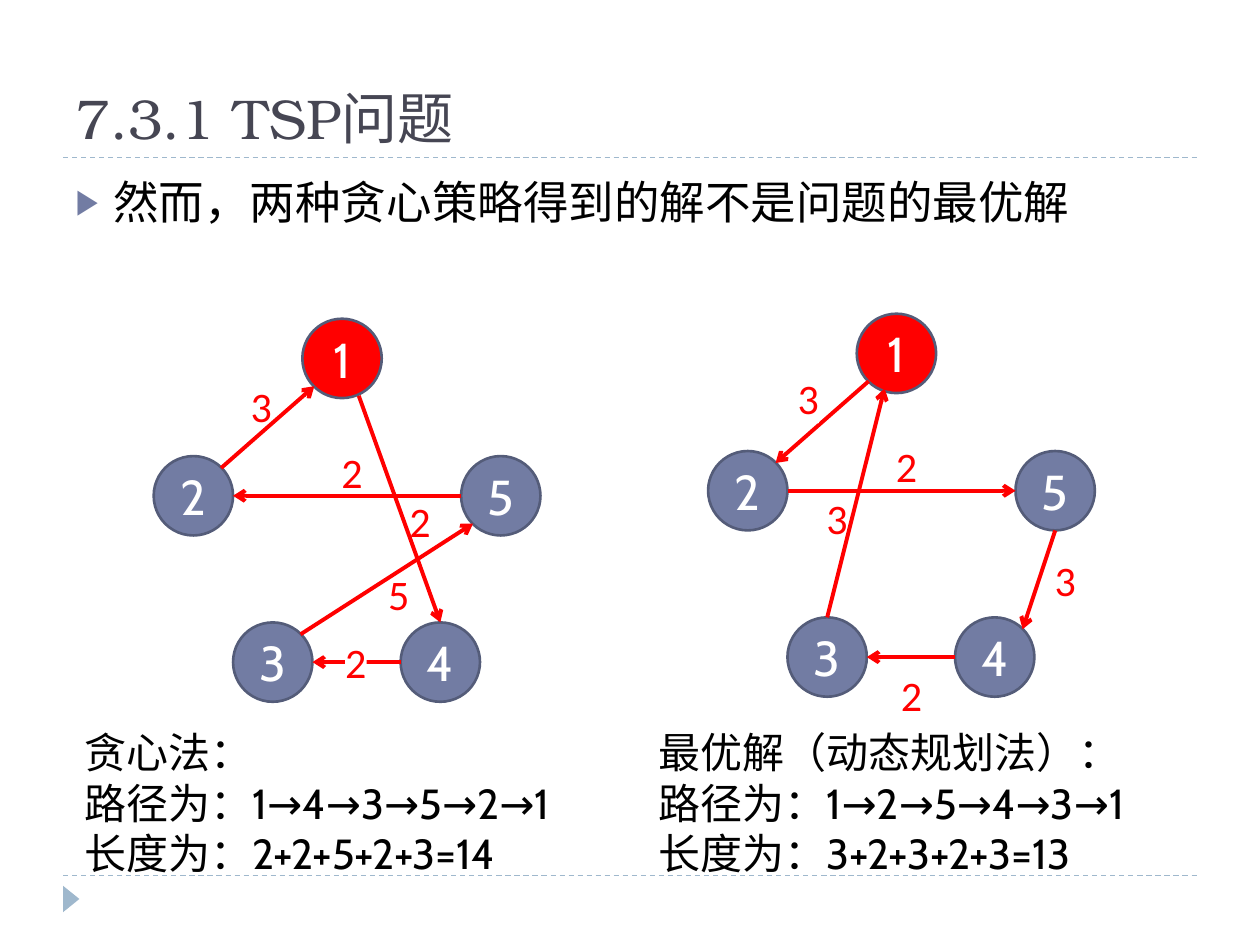
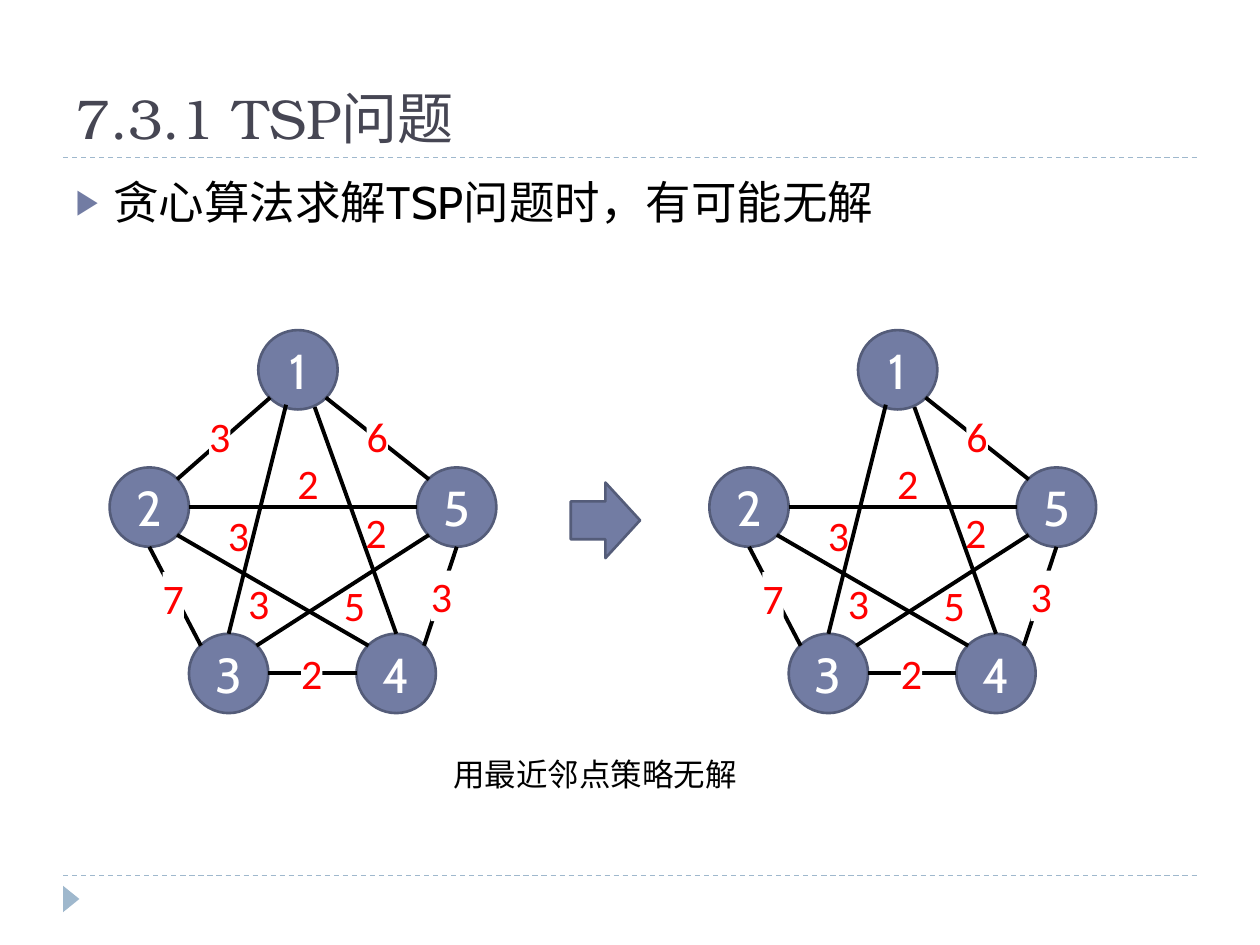
from itertools import combinations, pairwise

from lxml import etree
from pptx import Presentation
from pptx.dml.color import RGBColor
from pptx.enum.dml import MSO_LINE
from pptx.enum.shapes import MSO_CONNECTOR, MSO_SHAPE
from pptx.enum.text import MSO_ANCHOR, MSO_AUTO_SIZE, PP_ALIGN
from pptx.oxml.ns import qn
from pptx.util import Inches, Pt

STRAIGHT = MSO_CONNECTOR.STRAIGHT
OVAL, TRIANGLE, RIGHT_ARROW = MSO_SHAPE.OVAL, MSO_SHAPE.ISOSCELES_TRIANGLE, MSO_SHAPE.RIGHT_ARROW
DASH = MSO_LINE.DASH
TOP, MIDDLE, BOTTOM = MSO_ANCHOR.TOP, MSO_ANCHOR.MIDDLE, MSO_ANCHOR.BOTTOM
LEFT, CENTER = PP_ALIGN.LEFT, PP_ALIGN.CENTER
NO_FIT = MSO_AUTO_SIZE.NONE

COLORS = {
    "title": "464653", "text": "000000", "white": "FFFFFF", "rule": "9FB8CD",
    "node": "727CA3", "outline": "545C79", "red": "FF0000",
}
HEADING, BODY, LABEL = "TeX Gyre Bonum", "Cabin", "Calibri"
COLUMNS = 100  # square grid: 100 columns by 75 rows

# Graph geometry in grid cells, measured from the graph's left top corner
DIAMETER = 6.3
NODES = {"1": (11.8, 0), "2": (0, 10.9), "3": (6.3, 24.1), "4": (19.6, 24.1), "5": (24.4, 10.9)}
# Points on a node, as shares of its diameter
RIM = {
    "top": (0.5, 0), "bottom": (0.5, 1), "left": (0, 0.5), "right": (1, 0.5),
    "top left": (0.15, 0.15), "top right": (0.85, 0.15),
    "bottom left": (0.15, 0.85), "bottom right": (0.85, 0.85),
    "low left": (0.35, 0.94), "low right": (0.71, 0.97),
}
# Edge: rim points at both nodes, weight, label place, label on white
EDGES = {
    "12": ("bottom left", "top right", "3", (7.9, 6.4), True),
    "13": ("low left", "top", "3", (9.4, 14.2), False),
    "14": ("low right", "top", "2", (20.3, 14), False),
    "15": ("bottom right", "top left", "6", (20.4, 6.4), True),
    "23": ("bottom", "top left", "7", (4.2, 19.2), True),
    "24": ("bottom right", "top left", "3", (11, 19.6), False),
    "25": ("right", "left", "2", (14.9, 10.1), False),
    "34": ("right", "left", "2", (15.2, 25.2), True),
    "35": ("top right", "bottom left", "5", (18.6, 19.8), False),
    "45": ("top right", "bottom", "3", (25.5, 19.1), True),
}


def apply(target, values):
    for name, value in values.items():
        setattr(target, name, value)


def color(name):
    return RGBColor.from_string(COLORS[name])


class Deck:
    def __init__(self):
        self.presentation = Presentation()
        apply(self.presentation, {"slide_width": Inches(10), "slide_height": Inches(7.5)})
        self.cell = self.presentation.slide_width / COLUMNS

    def grid(self, *lengths):
        return [round(length * self.cell) for length in lengths]

    def add_slide(self, title, point):
        layout = self.presentation.slide_layouts[1]
        self.slide = self.presentation.slides.add_slide(layout)
        self.shapes = self.slide.shapes
        self.placeholder(0, (5, 1.7, 90, 10.8), title, 32, HEADING, "title", BOTTOM)
        body = self.placeholder(1, (5, 13.3, 90, 54), point, 26, BODY, "text", TOP)
        self.bullet(body.text_frame.paragraphs[0])
        # Dashed rules and corner mark
        for row in (69.5, 12.5):
            self.line((5, row), (95, row), "rule", 0.75).line.dash_style = DASH
        self.shape(TRIANGLE, (4.6, 70.7, 2.1, 1.3), "rule").rotation = 90

    def placeholder(self, index, box, text, size, font, ink, anchor):
        shape = self.slide.placeholders[index]
        apply(shape, dict(zip(("left", "top", "width", "height"), self.grid(*box))))
        self.set_text(shape, [text], size, font, ink, vertical_anchor=anchor,
                      auto_size=NO_FIT, word_wrap=True)
        return shape

    def bullet(self, paragraph):
        paragraph.space_before = Pt(6)
        properties = paragraph._p.get_or_add_pPr()
        properties.set("marL", str(Inches(0.3)))
        properties.set("indent", str(-Inches(0.3)))
        ink = etree.SubElement(properties, qn("a:buClr"))
        for parent, tag, key, value in (
            (ink, "a:srgbClr", "val", COLORS["node"]),
            (properties, "a:buSzPct", "val", "76000"),
            (properties, "a:buFont", "typeface", "Arial"),
            (properties, "a:buChar", "char", "▶"),
        ):
            etree.SubElement(parent, qn(tag)).set(key, value)

    def set_text(self, shape, lines, size, font, ink, align=LEFT, **frame_format):
        frame = shape.text_frame
        frame.text = "\n".join(lines)
        apply(frame, frame_format)
        for paragraph in frame.paragraphs:
            paragraph.alignment = align
            for run in paragraph.runs:
                apply(run.font, {"size": Pt(size), "name": font})
                run.font.color.rgb = color(ink)

    def shape(self, kind, box, fill, outline=None):
        shape = self.shapes.add_shape(kind, *self.grid(*box))
        shape.shadow.inherit = False
        shape.fill.solid()
        shape.fill.fore_color.rgb = color(fill)
        if outline:
            shape.line.color.rgb = color(outline)
            shape.line.width = Pt(1.5)
        else:
            shape.line.fill.background()
        return shape

    def line(self, start, end, ink, width, arrow=False):
        line = self.shapes.add_connector(STRAIGHT, *self.grid(*start, *end))
        line.line.color.rgb = color(ink)
        line.line.width = Pt(width)
        if arrow:
            outline = line._element.spPr.find(qn("a:ln"))
            etree.SubElement(outline, qn("a:tailEnd")).set("type", "arrow")
        etree.SubElement(line._element.spPr, qn("a:effectLst"))
        return line

    def text(self, box, lines, size, font, ink="text", **frame_format):
        shape = self.shapes.add_textbox(*self.grid(*box))
        self.set_text(shape, lines, size, font, ink, **frame_format)
        return shape

    def weight(self, place, text, on_white):
        margins = dict.fromkeys(("margin_left", "margin_top", "margin_right", "margin_bottom"), 0)
        label = self.text((*place, 1.7, 4), [text], 24, LABEL, "red", word_wrap=False, **margins)
        if on_white:
            label.fill.solid()
            label.fill.fore_color.rgb = color("white")

    def graph(self, left, top, steps, directed=False, moved=None):
        """Draw the five nodes and the given steps; moved overrides label places."""
        self.shapes = self.slide.shapes.add_group_shape().shapes

        def place(offset):
            return left + offset[0], top + offset[1]

        # Nodes
        for name, offset in NODES.items():
            fill = "red" if directed and name == "1" else "node"
            node = self.shape(OVAL, (*place(offset), DIAMETER, DIAMETER), fill, "outline")
            self.set_text(node, [name], 28, BODY, "white", CENTER, vertical_anchor=MIDDLE)
        # Edges
        keys = ["".join(sorted(step)) for step in steps]
        for step, key in zip(steps, keys):
            rims = dict(zip(key, EDGES[key]))
            start, end = (
                place([NODES[name][axis] + RIM[rims[name]][axis] * DIAMETER for axis in (0, 1)])
                for name in step
            )
            self.line(start, end, "red" if directed else "text", 2.25, directed)
        # Weights
        for key in keys:
            _, _, weight, offset, on_white = EDGES[key]
            offset, on_white = (moved or {}).get(key, (offset, on_white))
            self.weight(place(offset), weight, on_white)
        self.shapes = self.slide.shapes


def compare_tours(deck):
    deck.add_slide("7.3.1 TSP问题", "然而，两种贪心策略得到的解不是问题的最优解")
    tours = (
        (12.2, 25.3, 5.7, "贪心法：", "143521", "2+2+5+2+3=14",
         {"12": ((7.7, 4.9), False)}),
        (56.2, 24.9, 51.3, "最优解（动态规划法）：", "125431", "3+2+3+2+3=13",
         {"12": ((7.1, 4.7), True), "34": ((15.3, 28.2), True), "45": ((27.5, 19.1), True)}),
    )
    for left, top, text_left, heading, tour, total, moved in tours:
        deck.graph(left, top, list(pairwise(tour)), True, moved)
        lines = [heading, f"路径为：{'→'.join(tour)}", f"长度为：{total}"]
        deck.text((text_left, 57.2, 43.3, 13.1), lines, 24, BODY, word_wrap=True)


def show_dead_end(deck):
    deck.add_slide("7.3.1 TSP问题", "贪心算法求解TSP问题时，有可能无解")
    steps = list(combinations(NODES, 2))
    deck.graph(8.7, 26.2, steps)
    deck.graph(56.3, 26.2, [step for step in steps if step != ("1", "2")])
    deck.shape(RIGHT_ARROW, (45.3, 38.3, 5.5, 6), "node", "outline")
    deck.text((35, 59.4, 24.7, 4), ["用最近邻点策略无解"], 18, LABEL, word_wrap=False)


def main():
    deck = Deck()
    compare_tours(deck)
    show_dead_end(deck)
    deck.presentation.save("out.pptx")


if __name__ == "__main__":
    main()
